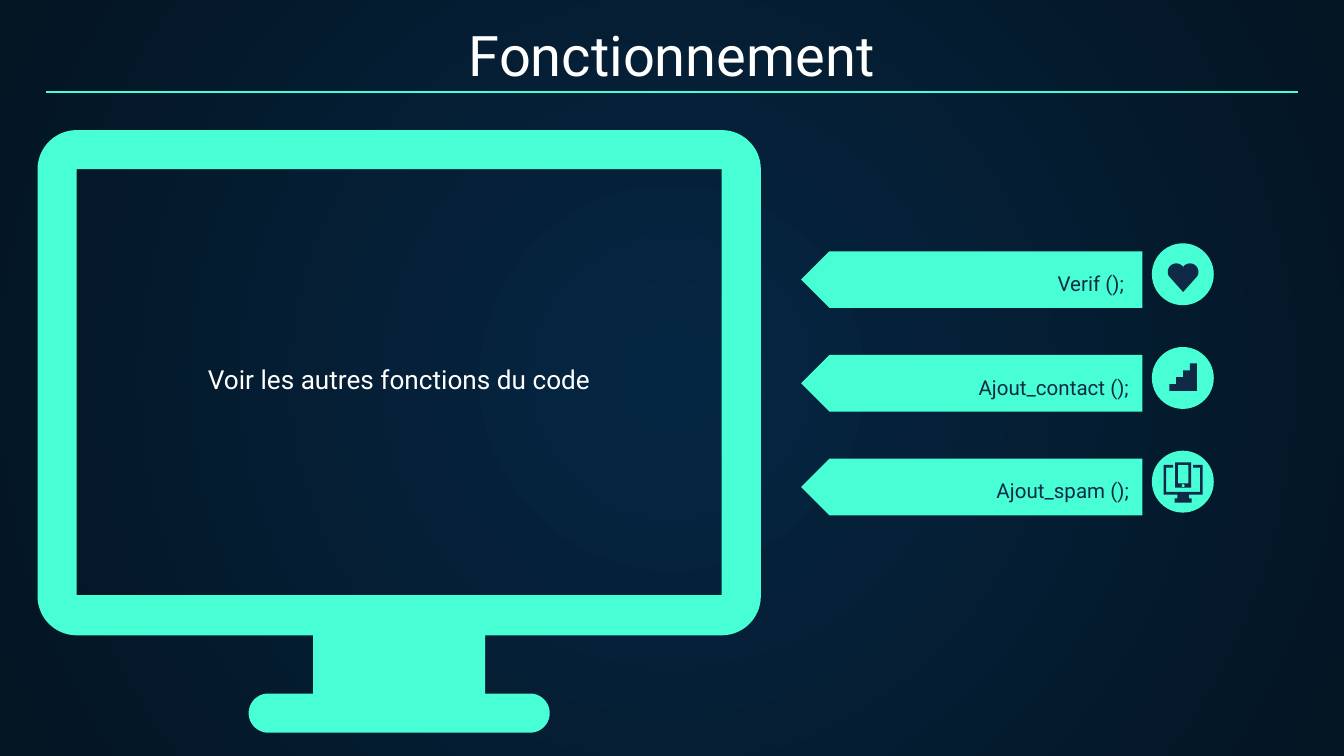
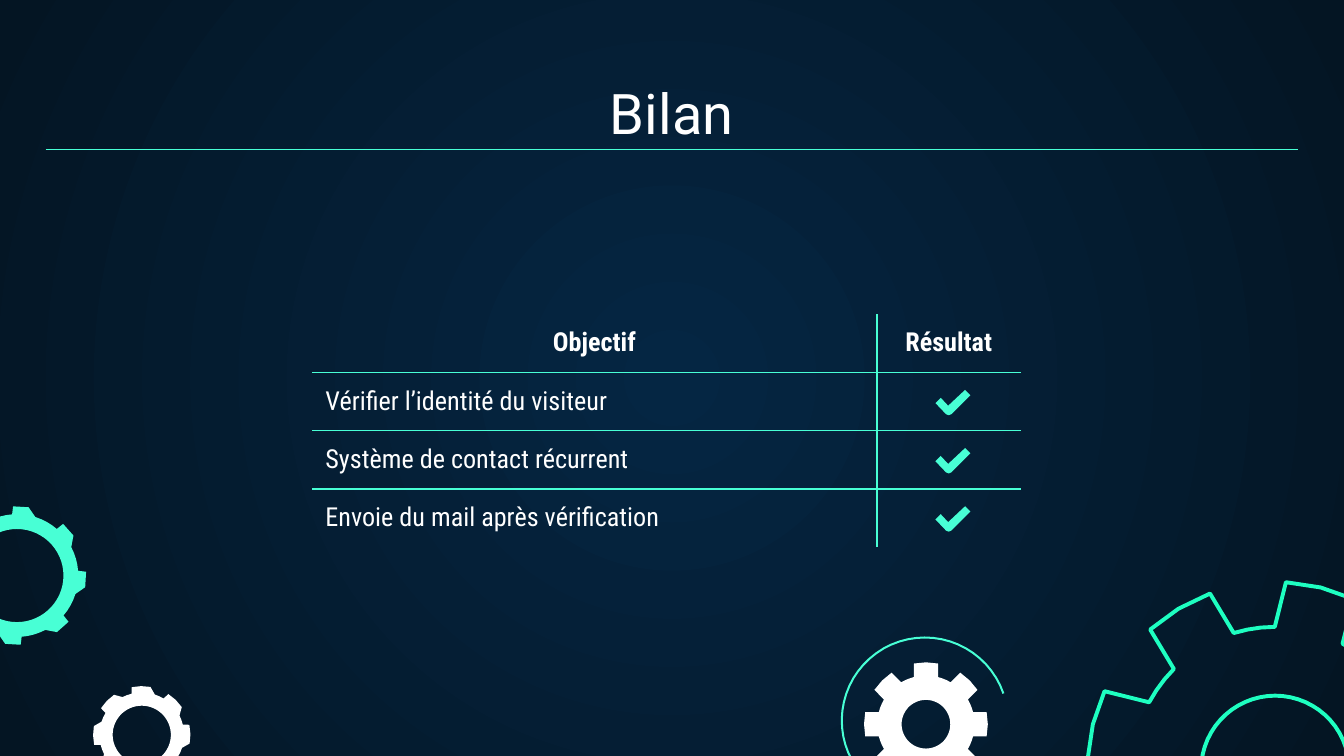
import math
import pptx
import pptx.util
import pptx.dml.color
import pptx.enum.shapes
import pptx.enum.text
import pptx.oxml.ns
import pptx.oxml.xmlchemy

Cm = pptx.util.Cm
Pt = pptx.util.Pt
RGBColor = pptx.dml.color.RGBColor
SHAPE = pptx.enum.shapes.MSO_SHAPE
ALIGN = pptx.enum.text.PP_ALIGN
ANCHOR = pptx.enum.text.MSO_ANCHOR
qn = pptx.oxml.ns.qn
Element = pptx.oxml.xmlchemy.OxmlElement

MINT = RGBColor(0x48, 0xFF, 0xD5)
GREEN = RGBColor(0x1E, 0xFF, 0xC1)
NAVY = RGBColor(0x0E, 0x2A, 0x47)
WHITE = RGBColor(0xFF, 0xFF, 0xFF)
GLOW = RGBColor(0x05, 0x26, 0x43)
DARK = RGBColor(0x04, 0x15, 0x23)
SANS = "Roboto"
NARROW = "Roboto Condensed"


def arc(x, y, r, start, end):
    count = max(2, round(abs(end - start) / 6))
    turns = [math.radians(start + (end - start) * i / count) for i in range(count + 1)]
    return [(x + r * math.cos(t), y + r * math.sin(t)) for t in turns]


def draw(slide, loops, color, width=0, close=True):
    units = [[(x * 1000, y * 1000) for x, y in loop] for loop in loops]
    pen = slide.shapes.build_freeform(*units[0][0], scale=360)
    for i, loop in enumerate(units):
        if i:
            pen.move_to(*loop[0])
        pen.add_line_segments(loop[1:], close=close)
    shape = pen.convert_to_shape()
    shape.shadow.inherit = False
    if width:
        shape.fill.background()
        shape.line.color.rgb = color
        shape.line.width = Pt(width)
    else:
        shape.fill.solid()
        shape.fill.fore_color.rgb = color
        shape.line.fill.background()
    return shape


prs = pptx.Presentation()
prs.slide_width = Cm(25.4)
prs.slide_height = Cm(14.29)

master = prs.slide_master
fill = master.background.fill
fill.gradient()
for stop, color in zip(fill.gradient_stops, (GLOW, DARK)):
    stop.color.rgb = color
radial = Element("a:path")
radial.set("path", "circle")
focus = Element("a:fillToRect")
for side in "ltrb":
    focus.set(side, "50000")
radial.append(focus)
linear = master.element.find(".//" + qn("a:lin"))
linear.getparent().replace(linear, radial)

texts = []
slides = []
for name, top in (("Fonctionnement", 0.23), ("Bilan", 1.32)):
    slide = prs.slides.add_slide(prs.slide_layouts[5])
    slides.append(slide)
    title = slide.shapes.title
    title.left, title.top = Cm(0.86), Cm(top)
    title.width, title.height = Cm(23.67), Cm(1.68)
    title.text_frame.auto_size = pptx.enum.text.MSO_AUTO_SIZE.NONE
    title.text_frame.vertical_anchor = ANCHOR.BOTTOM
    texts.append((title.text_frame, name, 30, SANS, WHITE, ALIGN.CENTER, False))
    rule = slide.shapes.add_connector(
        pptx.enum.shapes.MSO_CONNECTOR.STRAIGHT,
        Cm(0.86), Cm(top + 1.51), Cm(24.54), Cm(top + 1.51))
    rule.line.color.rgb = MINT
    rule.line.width = Pt(0.75)
    rule.element.spPr.append(Element("a:effectLst"))

work, recap = slides

case = (arc(1.45, 3.2, 0.74, 180, 270) + arc(13.64, 3.2, 0.74, 270, 360)
        + arc(13.64, 11.27, 0.74, 0, 90) + [(9.17, 12.01), (9.17, 13.11)]
        + arc(10.02, 13.48, 0.37, -90, 90) + arc(5.07, 13.48, 0.37, 90, 270)
        + [(5.92, 13.11), (5.92, 12.01)] + arc(1.45, 11.27, 0.74, 90, 180))
glass = [(1.45, 3.2), (1.45, 11.25), (13.64, 11.25), (13.64, 3.2)]
screen = draw(work, [case, glass], MINT).text_frame
screen.word_wrap = True
screen.vertical_anchor = ANCHOR.TOP
texts.append((screen, "Voir les autres fonctions du code", 14, SANS, WHITE, ALIGN.CENTER, False))

for i, call in enumerate(("Verif (); ", "Ajout_contact ();", "Ajout_spam ();")):
    shift = 1.96 * i
    box = (Cm(15.14), Cm(4.75 + shift), Cm(6.45), Cm(1.07))
    banner = work.shapes.add_shape(SHAPE.PENTAGON, *box)
    banner.rotation = 180
    disc = work.shapes.add_shape(SHAPE.OVAL, Cm(21.77), Cm(4.6 + shift), Cm(1.17), Cm(1.17))
    for shape in (banner, disc):
        shape.shadow.inherit = False
        shape.fill.solid()
        shape.fill.fore_color.rgb = MINT
        shape.line.fill.background()
    label = work.shapes.add_textbox(*box).text_frame
    label.word_wrap = True
    label.vertical_anchor = ANCHOR.BOTTOM
    texts.append((label, call, 11, SANS, NAVY, ALIGN.RIGHT, False))

mid = 22.36
heart = arc(22.23, 5.14, 0.16, 150, 330) + arc(22.49, 5.14, 0.16, 210, 390) + [(mid, 5.52)]
stairs = [(22.1 + 0.13 * (i + j), 7.26 - 0.13 * i) for i in range(4) for j in (0, 1)]
stairs += [(22.62, 7.39), (22.1, 7.39)]
half = [(0.32, 0.51), (0.32, 0.05), (0.19, 0.05), (0.19, 0), (0.37, 0),
        (0.37, 0.56), (0.11, 0.56), (0.11, 0.63), (0.16, 0.63), (0.16, 0.71)]
desk = [(mid - x, 8.79 + y) for x, y in half] + [(mid + x, 8.79 + y) for x, y in half[::-1]]
phone = [[(mid - w, t), (mid + w, t), (mid + w, b), (mid - w, b)]
         for w, t, b in ((0.15, 8.74, 9.22), (0.1, 8.79, 9.14))]
phone.append(arc(mid, 9.18, 0.03, 0, 360))
for icon in ([heart], [stairs], [desk], phone):
    draw(work, icon, NAVY)

rows = [("Objectif", "Résultat"), ("Vérifier l’identité du visiteur", ""),
        ("Système de contact récurrent", ""), ("Envoie du mail après vérification", "")]
frame = recap.shapes.add_table(4, 2, Cm(5.9), Cm(5.94), Cm(13.39), Cm(4.4))
frame.element.find(".//" + qn("a:tableStyleId")).text = "{2D5ABB26-0587-4C30-8999-92F81FD0307C}"
table = frame.table
table.first_row = table.horz_banding = False
table.columns[0].width, table.columns[1].width = Cm(10.67), Cm(2.72)
for i, row in enumerate(rows):
    table.rows[i].height = Cm(1.1)
    for j, words in enumerate(row):
        cell = table.cell(i, j)
        cell.fill.background()
        cell.margin_left = cell.margin_right = Cm(0.25)
        cell.margin_top = cell.margin_bottom = Cm(0.25 if words else 0)
        sides = ["a:lnR" if j == 0 else "a:lnL"]
        sides += ["a:lnT"] * (i > 0) + ["a:lnB"] * (i < 3)
        for k, side in enumerate(sides):
            edge = Element(side)
            edge.set("w", str(Pt(1)))
            paint = Element("a:solidFill")
            tint = Element("a:srgbClr")
            tint.set("val", str(MINT))
            paint.append(tint)
            edge.append(paint)
            cell._tc.get_or_add_tcPr().insert(k, edge)
        if words:
            align = ALIGN.LEFT if i else ALIGN.CENTER
            texts.append((cell.text_frame, words, 14, NARROW, WHITE, align, i == 0))

tick = [(0.56, 0), (0.24, 0.3), (0.1, 0.15), (0, 0.25),
        (0.2, 0.46), (0.25, 0.48), (0.3, 0.46), (0.66, 0.1)]
for i in range(3):
    draw(recap, [[(17.68 + x, 7.37 + 1.1 * i + y) for x, y in tick]], MINT)

gears = [
    (24.1, 14.55, 3.55, 2.7, 1.4, 0.66, -76, GREEN, 2.1),
    (17.5, 13.69, 1.17, 0.92, 0.46, 0.23, 0, WHITE, 0),
    (0.32, 10.88, 1.31, 1.16, 0.88, 0.22, -83.5, MINT, 0),
    (2.68, 13.89, 0.92, 0.8, 0.55, 0.22, -88, WHITE, 0),
]
for x, y, tip, root, hole, side, phase, color, width in gears:
    high = math.degrees(math.asin(side / tip))
    low = math.degrees(math.asin(side / root))
    rim = []
    for i in range(8):
        turn = phase + 45 * i
        rim += arc(x, y, tip, turn - high, turn + high)[::2]
        rim += arc(x, y, root, turn + low, turn + 45 - low)
    draw(recap, [rim, arc(x, y, hole, 0, 360)], color, width)
draw(recap, [arc(17.48, 13.62, 1.57, 92, 341)], MINT, 1.09, False)

for frame, words, size, face, color, align, bold in texts:
    frame.text = words
    frame.margin_left = frame.margin_right = Cm(0.25)
    frame.margin_top = frame.margin_bottom = Cm(0.25)
    line = frame.paragraphs[0]
    line.alignment = align
    font = line.runs[0].font
    font.name, font.size, font.bold = face, Pt(size), bold
    font.color.rgb = color
screen.margin_top = Cm(4.41)

prs.save("out.pptx")
